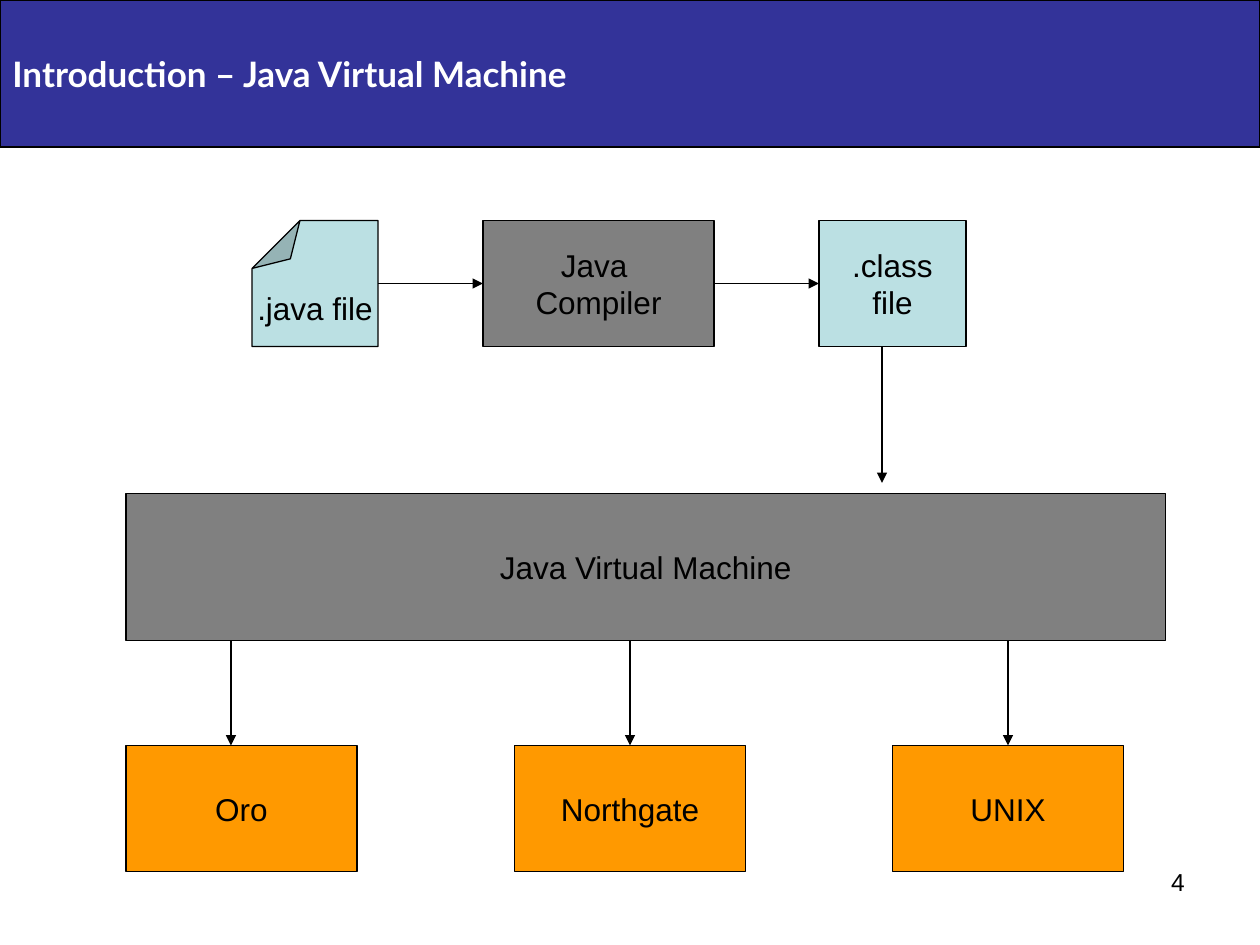
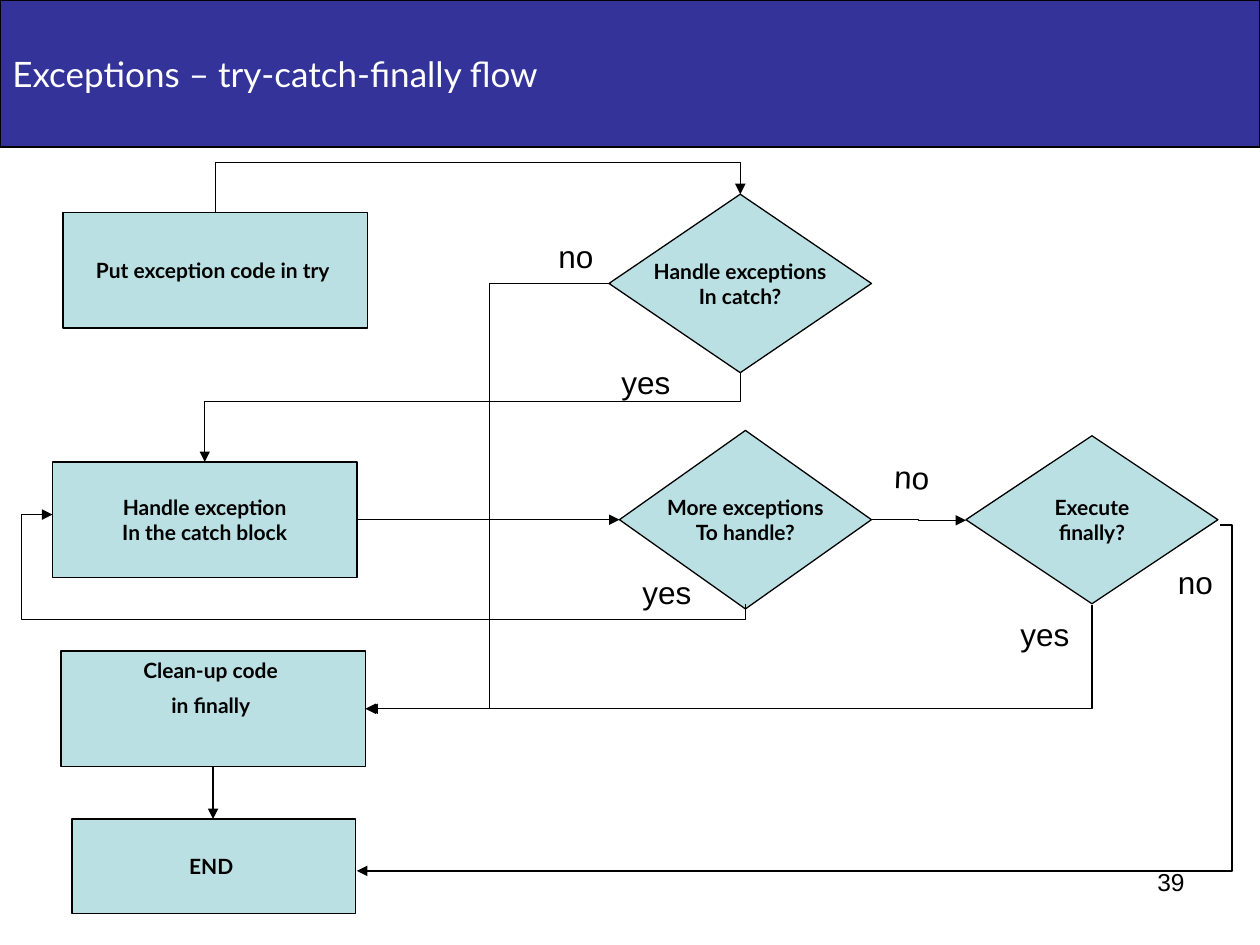
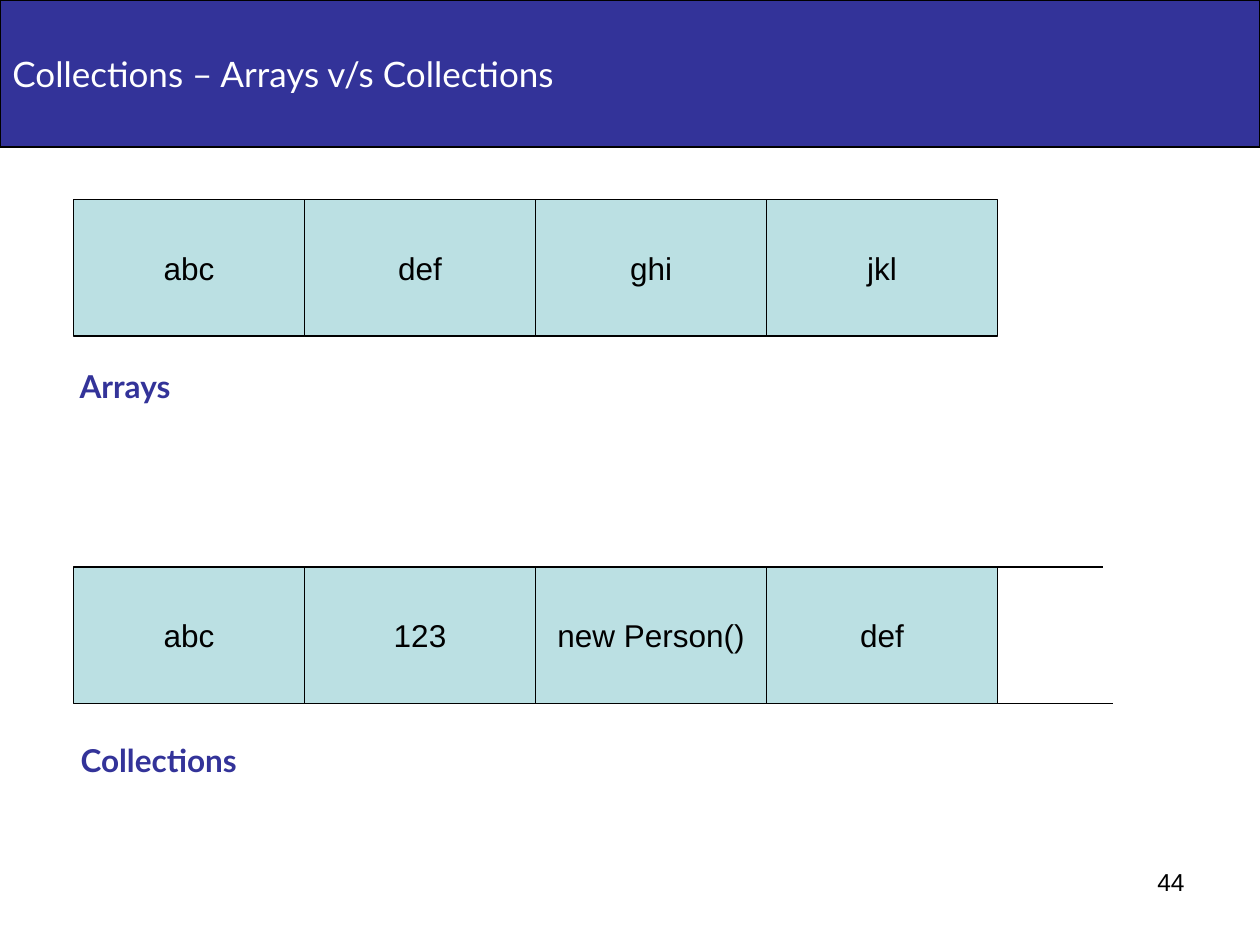
"""Build three Java course slides: virtual machine, exception flow, collections."""
from dataclasses import dataclass
from typing import NamedTuple

from lxml.etree import SubElement
from pptx import Presentation
from pptx.dml.color import RGBColor
from pptx.enum.shapes import MSO_CONNECTOR as Connector, MSO_SHAPE as Preset
from pptx.enum.text import MSO_ANCHOR as Anchor, PP_ALIGN as Align
from pptx.oxml.ns import qn
from pptx.util import Inches, Pt

COLORS = {
    "navy": "333399",
    "aqua": "BBE0E3",
    "gray": "808080",
    "orange": "FF9900",
    "black": "000000",
    "white": "FFFFFF",
}
SLIDE_WIDTH, SLIDE_HEIGHT = Inches(10), Inches(7.5)
COLUMNS, ROWS = 120, 90
LINE_WIDTH = Pt(0.75)


class Area(NamedTuple):
    """Left, top, width and height in grid columns and rows."""
    left: float
    top: float
    width: float
    height: float


class Point(NamedTuple):
    """A place on the grid."""
    column: float
    row: float


@dataclass(frozen=True)
class TextStyle:
    """Look of the paragraphs in one frame."""
    size: float = 18
    font: str = "Arial"
    bold: bool = False
    color: str = "black"
    align: Align = Align.CENTER
    anchor: Anchor = Anchor.MIDDLE
    wrap: bool = False
    gap: float = 0


BODY = TextStyle()
STEP = TextStyle(12, "Lato", bold=True)
SPACED_STEP = TextStyle(12, "Lato", bold=True, anchor=Anchor.TOP, gap=6)
ANSWER = TextStyle(align=Align.LEFT, anchor=Anchor.TOP)
CAPTION = TextStyle(18, "Lato", True, "navy", Align.LEFT, Anchor.TOP)
TITLE = TextStyle(20, "Lato", False, "white", Align.LEFT, wrap=True)
BOLD_TITLE = TextStyle(20, "Lato", True, "white", Align.LEFT, wrap=True)
NUMBER = TextStyle(14, align=Align.RIGHT, anchor=Anchor.TOP, wrap=True)


@dataclass(frozen=True)
class Box:
    """A filled shape with one text line per paragraph."""
    area: Area
    lines: tuple[str, ...]
    fill: str = "aqua"
    style: TextStyle = BODY
    preset: Preset = Preset.RECTANGLE


@dataclass(frozen=True)
class Route:
    """A right-angled arrow; bends hold the row or column of each middle leg."""
    start: Point
    end: Point
    vertical: bool
    bends: tuple[float, ...] = ()


def across(columns: float) -> int:
    """Convert grid columns to a length."""
    return round(SLIDE_WIDTH * columns / COLUMNS)


def down(rows: float) -> int:
    """Convert grid rows to a length."""
    return round(SLIDE_HEIGHT * rows / ROWS)


def place(area: Area) -> tuple[int, int, int, int]:
    """Convert a grid area to lengths."""
    return across(area.left), down(area.top), across(area.width), down(area.height)


def color(name: str) -> RGBColor:
    """Look up a named colour."""
    return RGBColor.from_string(COLORS[name])


def write(shape, lines: tuple[str, ...], style: TextStyle) -> None:
    """Fill a shape's text frame."""
    frame = shape.text_frame
    frame.word_wrap = style.wrap
    frame.vertical_anchor = style.anchor
    for index, line in enumerate(lines):
        paragraph = frame.add_paragraph() if index else frame.paragraphs[0]
        paragraph.text = line
        paragraph.alignment = style.align
        if index and style.gap:
            paragraph.space_before = Pt(style.gap)
        font = paragraph.font
        font.name, font.size, font.bold = style.font, Pt(style.size), style.bold
        font.color.rgb = color(style.color)


def draw_box(slide, box: Box):
    """Draw a filled, outlined shape with text."""
    shape = slide.shapes.add_shape(box.preset, *place(box.area))
    shape.shadow.inherit = False
    shape.fill.solid()
    shape.fill.fore_color.rgb = color(box.fill)
    shape.line.color.rgb = color("black")
    shape.line.width = LINE_WIDTH
    write(shape, box.lines, box.style)
    return shape


def draw_text(slide, area: Area, text: str, style: TextStyle):
    """Draw a text box."""
    shape = slide.shapes.add_textbox(*place(area))
    write(shape, (text,), style)
    return shape


def adjust(shape, name: str, share: float) -> None:
    """Add a named adjustment to a preset geometry."""
    adjustments = shape.element.spPr.find(qn("a:prstGeom")).find(qn("a:avLst"))
    SubElement(adjustments, qn("a:gd"), name=name, fmla=f"val {round(share * 100000)}")


def style_line(connector, arrow: bool) -> None:
    """Give a connector its line, arrowhead and no shadow."""
    connector.line.color.rgb = color("black")
    connector.line.width = LINE_WIDTH
    properties = connector.element.spPr
    if arrow:
        SubElement(properties.find(qn("a:ln")), qn("a:tailEnd"), type="triangle")
    SubElement(properties, qn("a:effectLst"))


def draw_line(slide, start: Point, end: Point, arrow: bool = True) -> None:
    """Draw a straight line between two grid points."""
    connector = slide.shapes.add_connector(
        Connector.STRAIGHT, across(start.column), down(start.row), across(end.column), down(end.row))
    style_line(connector, arrow)


def draw_route(slide, route: Route) -> None:
    """Draw a bent arrow, turned a quarter when it sets off vertically."""
    start, end = route.start, route.end
    axes = (1, 0) if route.vertical else (0, 1)
    spans = [end[axis] - start[axis] for axis in axes]
    width, height = map(abs, spans)
    left = (start.column + end.column - width) / 2
    top = (start.row + end.row - height) / 2
    connector = slide.shapes.add_connector(Connector.ELBOW, 0, 0, 1, 1)
    connector.left, connector.top, connector.width, connector.height = place(
        Area(left, top, width, height))

    properties = connector.element.spPr
    transform = properties.find(qn("a:xfrm"))
    transform.set("rot", "5400000" if route.vertical else "0")
    transform.set("flipH", str(int(spans[0] < 0)))
    transform.set("flipV", str(int((spans[1] < 0) != route.vertical)))

    properties.find(qn("a:prstGeom")).set("prst", f"bentConnector{len(route.bends) + 2}")
    for index, (bend, axis, span) in enumerate(zip(route.bends, axes, spans), 1):
        adjust(connector, f"adj{index}", (bend - start[axis]) / span)
    style_line(connector, True)


def add_slide(presentation, title: str, number: int, style: TextStyle = TITLE):
    """Add a blank slide with its title band and number."""
    slide = presentation.slides.add_slide(presentation.slide_layouts[6])
    draw_box(slide, Box(Area(0, 0, COLUMNS, 14), (title,), "navy", style))
    draw_text(slide, Area(86, 82, 28, 6.25), str(number), NUMBER)
    return slide


def build_virtual_machine(presentation) -> None:
    """Show how source code reaches each platform."""
    slide = add_slide(presentation, "Introduction – Java Virtual Machine", 4, BOLD_TITLE)
    source = draw_box(slide, Box(Area(24, 21, 12, 12), (".java file",), preset=Preset.FOLDED_CORNER))
    adjust(source, "adj", 0.38)
    source.rotation = 180
    source.element.txBody.find(qn("a:bodyPr")).set("rot", "10800000")

    draw_box(slide, Box(Area(46, 21, 22, 12), ("Java ", "Compiler"), "gray"))
    draw_box(slide, Box(Area(78, 21, 14, 12), (".class", "file")))
    draw_box(slide, Box(Area(12, 47, 99, 14), ("Java Virtual Machine",), "gray"))
    for column in (36, 68):
        draw_line(slide, Point(column, 27), Point(column + 10, 27))
    draw_line(slide, Point(84, 33), Point(84, 46))

    platforms = (("Oro", 12, 22), ("Northgate", 49, 60), ("UNIX", 85, 96))
    for name, left, arrow_column in platforms:
        draw_box(slide, Box(Area(left, 71, 22, 12), (name,), "orange"))
        draw_line(slide, Point(arrow_column, 61), Point(arrow_column, 71))


def build_exception_flow(presentation) -> None:
    """Show the flow chart of try, catch and finally."""
    slide = add_slide(presentation, "Exceptions – try-catch-finally flow", 39)
    steps = (
        (Area(6, 20.25, 29, 11), ("Put exception code in try ",), STEP),
        (Area(5, 44, 29, 11), ("Handle exception", "In the catch block"), STEP),
        (Area(5.8, 62, 29, 11), ("Clean-up code ", "in finally "), SPACED_STEP),
        (Area(6.85, 78, 27, 9), ("END ",), STEP),
    )
    decisions = (
        (Area(58, 18.5, 25, 17), ("Handle exceptions", "In catch?")),
        (Area(59, 41, 24, 17), ("More exceptions", "To handle?")),
        (Area(92, 41.5, 24, 16), ("Execute", "finally?")),
    )
    for area, lines, style in steps:
        draw_box(slide, Box(area, lines, style=style))
    for area, lines in decisions:
        draw_box(slide, Box(area, lines, style=STEP, preset=Preset.FLOWCHART_DECISION))

    routes = (
        Route(Point(20.5, 20.25), Point(70.5, 18.5), True, (15.5,)),
        Route(Point(70.5, 35.5), Point(19.5, 44), True, (38.25,)),
        Route(Point(71, 57.5), Point(5, 49), True, (59, 2)),
        Route(Point(83, 49.45), Point(92, 49.55), False, (87.5,)),
        Route(Point(104, 57.6), Point(34.8, 67.5), True),
        Route(Point(116.2, 50), Point(34, 82.95), False, (117.35,)),
        Route(Point(58.2, 27), Point(35, 67.5), False, (46.6,)),
    )
    for route in routes:
        draw_route(slide, route)
    draw_line(slide, Point(34, 49.5), Point(59, 49.5))
    draw_line(slide, Point(20.3, 73), Point(20.3, 78))

    answers = (
        ("yes", 58, 34, 0), ("yes", 60, 54, 0), ("yes", 96, 58, 0),
        ("no", 52, 22, 0), ("no", 111, 53, 0), ("no", 84, 43, 2.4),
    )
    widths = {"yes": 7.1, "no": 5.8}
    for text, left, top, angle in answers:
        answer = draw_text(slide, Area(left, top, widths[text], 4.8), text, ANSWER)
        answer.rotation = angle


def build_collections(presentation) -> None:
    """Compare a fixed array with an open-ended collection."""
    slide = add_slide(presentation, "Collections – Arrays v/s Collections", 44)
    left, cell_width, cell_height = 7, 22, 13
    sequences = (
        (19, ("abc", "def", "ghi", "jkl")),
        (54, ("abc", "123", "new Person()", "def")),
    )
    for top, values in sequences:
        for index, value in enumerate(values):
            draw_box(slide, Box(Area(left + index * cell_width, top, cell_width, cell_height), (value,)))
    draw_line(slide, Point(95, 54), Point(105, 54), arrow=False)
    draw_line(slide, Point(95, 67), Point(106, 67), arrow=False)
    draw_text(slide, Area(6.4, 34.4, 12.1, 4.8), "Arrays", CAPTION)
    draw_text(slide, Area(6.5, 70, 18.8, 4.8), "Collections", CAPTION)


def main() -> None:
    """Build and save the presentation."""
    presentation = Presentation()
    presentation.slide_width, presentation.slide_height = SLIDE_WIDTH, SLIDE_HEIGHT
    build_virtual_machine(presentation)
    build_exception_flow(presentation)
    build_collections(presentation)
    presentation.save("out.pptx")


if __name__ == "__main__":
    main()
